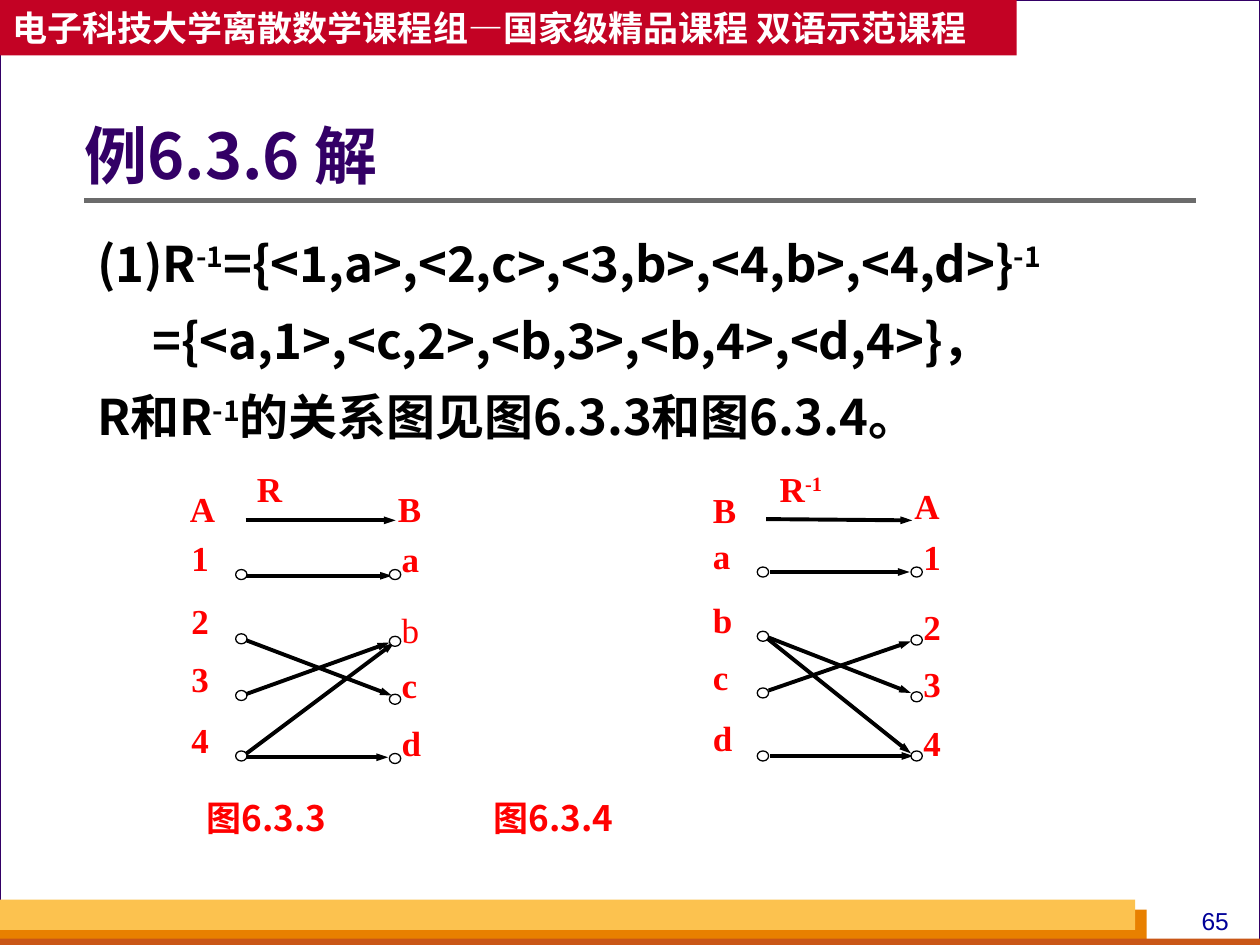
from lxml import etree
from pptx import Presentation
from pptx.dml.color import RGBColor
from pptx.enum import shapes, text
from pptx.oxml.ns import qn
from pptx.util import Inches, Pt

WHITE = RGBColor(0xFF, 0xFF, 0xFF)
BLACK = RGBColor(0x00, 0x00, 0x00)
RED = RGBColor(0xFF, 0x00, 0x00)
PURPLE = RGBColor(0x33, 0x00, 0x66)
NAVY = RGBColor(0x00, 0x00, 0x99)
GREY = RGBColor(0x6B, 0x6B, 0x6B)
CRIMSON = RGBColor(0xC3, 0x02, 0x24)
ORANGE = RGBColor(0xE8, 0x80, 0x00)
RUST = RGBColor(0xC9, 0x56, 0x16)
YELLOW = RGBColor(0xFC, 0xC2, 0x4F)
HEITI = "Noto Sans CJK SC"
ROMAN = "Times New Roman"


def write_text(paragraph, content, name, size, colour, bold=True):
    """Fill a paragraph; parts between carets become superscripts."""
    for index, part in enumerate(content.split("^")):
        if part:
            run = paragraph.add_run()
            run.text = part
            if index % 2:
                run.font._element.set("baseline", "30000")
    font = paragraph.font
    font.name, font.size, font.bold = name, Pt(size), bold
    font.color.rgb = colour
    etree.SubElement(font._element, qn("a:ea")).set("typeface", name)


def add_line(start, end, colour, width, arrow=False):
    line = slide.shapes.add_connector(
        shapes.MSO_CONNECTOR.STRAIGHT, *(Inches(value) for value in start + end))
    line.line.color.rgb = colour
    line.line.width = Pt(width)
    if arrow:
        tail = etree.SubElement(line.line._get_or_add_ln(), qn("a:tailEnd"))
        tail.set("type", "triangle")
        tail.set("w", "sm")
    etree.SubElement(line._element.spPr, qn("a:effectLst"))


presentation = Presentation()
presentation.slide_width = Inches(10)
presentation.slide_height = Inches(7.5)
slide = presentation.slides.add_slide(presentation.slide_layouts[1])

# Page, footer bands and header band
bands = {}
for name, left, top, width, height, colour in [
    ("page", 0, 0, 10, 7.5, WHITE),
    ("orange", 0, 7.22, 9.1, 0.28, ORANGE),
    ("rust", 0, 7.45, 10, 0.05, RUST),
    ("yellow", 0, 7.14, 9.01, 0.24, YELLOW),
    ("header", 0, 0, 8.07, 0.44, CRIMSON),
]:
    band = slide.shapes.add_shape(
        shapes.MSO_SHAPE.RECTANGLE, Inches(left), Inches(top), Inches(width), Inches(height))
    band.shadow.inherit = False
    band.fill.solid()
    band.fill.fore_color.rgb = colour
    band.line.fill.background()
    bands[name] = band
page = bands["page"]
page.line.color.rgb = PURPLE
page.line.width = Pt(0.75)
slide.shapes._spTree.insert(2, page._element)

header = bands["header"].text_frame
header.vertical_anchor = text.MSO_ANCHOR.MIDDLE
header.paragraphs[0].alignment = text.PP_ALIGN.LEFT
write_text(header.paragraphs[0], "电子科技大学离散数学课程组—国家级精品课程 双语示范课程",
           HEITI, 20, WHITE)
add_line((0.67, 1.59), (9.49, 1.59), GREY, 3)

# Title and solution
title = slide.shapes.title
title.left, title.top, title.width, title.height = (
    Inches(value) for value in (0.67, 0.76, 8.82, 1.01))
title.text_frame.margin_left = 0
title.text_frame.auto_size = text.MSO_AUTO_SIZE.NONE
title.text_frame.vertical_anchor = text.MSO_ANCHOR.MIDDLE
paragraph = title.text_frame.paragraphs[0]
paragraph.alignment = text.PP_ALIGN.LEFT
paragraph.line_spacing = 0.9
write_text(paragraph, "例6.3.6 解", HEITI, 36, PURPLE)

body = slide.placeholders[1]
body.left, body.top, body.width, body.height = (
    Inches(value) for value in (0.67, 1.71, 8.82, 5.02))
body.text_frame.auto_size = text.MSO_AUTO_SIZE.NONE
for index, (content, indent) in enumerate([
    ("(1)R^-1^={<1,a>,<2,c>,<3,b>,<4,b>,<4,d>}^-1^", 0),
    ("={<a,1>,<c,2>,<b,3>,<b,4>,<d,4>}，", 0.44),
    ("R和R^-1^的关系图见图6.3.3和图6.3.4。", 0),
]):
    paragraph = body.text_frame.add_paragraph() if index else body.text_frame.paragraphs[0]
    paragraph.line_spacing = 1.2
    paragraph.space_before = Pt(3.5 if index else 0)
    properties = paragraph._p.get_or_add_pPr()
    properties.set("marL", str(Inches(indent)))
    properties.set("indent", "0")
    etree.SubElement(properties, qn("a:buNone"))
    write_text(paragraph, content, HEITI, 28, BLACK)

# Arrows of both relation diagrams
for start, end in [
    ((1.95, 4.13), (3.14, 4.13)),
    ((1.95, 4.57), (3.11, 4.57)),
    ((1.95, 5.08), (3.11, 5.52)),
    ((1.95, 5.51), (3.09, 5.1)),
    ((1.93, 6), (3.13, 5.1)),
    ((1.95, 6.01), (3.08, 6.01)),
    ((6.08, 4.12), (7.24, 4.13)),
    ((6.11, 4.54), (7.22, 4.54)),
    ((6.1, 5.06), (7.23, 5.5)),
    ((6.08, 5.06), (7.23, 5.98)),
    ((6.1, 5.48), (7.23, 5.09)),
    ((6.11, 6), (7.25, 6)),
]:
    add_line(start, end, BLACK, 2.25, arrow=True)

# Node columns: label left, dot left, then (label, label top, dot top)
labels = [
    ("R", 1.94, 3.66), ("A", 1.41, 3.82), ("B", 3.06, 3.82),
    ("R^-1^", 6.09, 3.66), ("B", 5.56, 3.83), ("A", 7.16, 3.8),
]
for label_left, dot_left, nodes in [
    (1.42, 1.87, [("1", 4.21, 4.52), ("2", 4.71, 5.03), ("3", 5.17, 5.48), ("4", 5.65, 5.96)]),
    (3.09, 3.09, [("a", 4.22, 4.52), ("b", 4.78, 5.05), ("c", 5.22, 5.51), ("d", 5.68, 5.98)]),
    (5.56, 6.01, [("a", 4.19, 4.5), ("b", 4.7, 5.01), ("c", 5.15, 5.46), ("d", 5.64, 5.96)]),
    (7.23, 7.23, [("1", 4.2, 4.5), ("2", 4.76, 5.04), ("3", 5.21, 5.49), ("4", 5.68, 5.96)]),
]:
    for label, label_top, dot_top in nodes:
        labels.append((label, label_left, label_top))
        dot = slide.shapes.add_shape(
            shapes.MSO_SHAPE.OVAL, Inches(dot_left), Inches(dot_top), Inches(0.09), Inches(0.08))
        dot.shadow.inherit = False
        dot.fill.solid()
        dot.fill.fore_color.rgb = WHITE
        dot.line.color.rgb = BLACK
        dot.line.width = Pt(0.75)

for label, left, top in labels:
    box = slide.shapes.add_textbox(Inches(left), Inches(top), Inches(0.87), Inches(0.63))
    box.text_frame.word_wrap = True
    write_text(box.text_frame.paragraphs[0], label, ROMAN, 20, RED,
               bold=(label, left) != ("b", 3.09))

# Captions, the second one on a tab stop
captions = slide.shapes.add_textbox(Inches(1.42), Inches(6.27), Inches(6.94), Inches(0.63))
captions.text_frame.word_wrap = True
paragraph = captions.text_frame.paragraphs[0]
properties = paragraph._p.get_or_add_pPr()
properties.set("marL", str(Inches(0.12)))
tab_list = etree.SubElement(properties, qn("a:tabLst"))
tab = etree.SubElement(tab_list, qn("a:tab"))
tab.set("pos", str(Inches(2.28)))
tab.set("algn", "l")
write_text(paragraph, "图6.3.3\t图6.3.4", HEITI, 20, RED)

number = slide.shapes.add_textbox(Inches(9.33), Inches(7.14), Inches(0.63), Inches(0.34))
number.text_frame.word_wrap = True
number.text_frame.paragraphs[0].alignment = text.PP_ALIGN.CENTER
write_text(number.text_frame.paragraphs[0], "65", "Arial", 14, NAVY, bold=False)

presentation.save("out.pptx")
